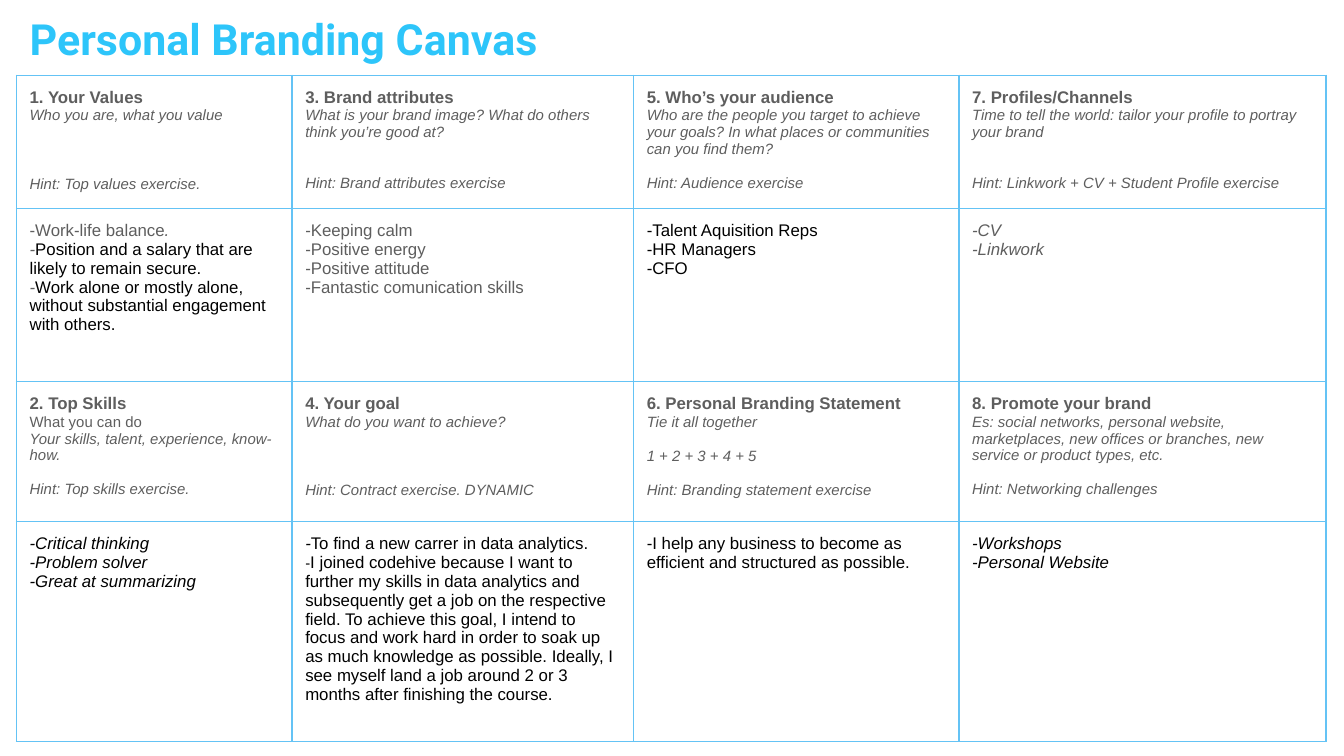
from lxml import etree
from pptx import Presentation
from pptx.dml.color import RGBColor
from pptx.enum.text import MSO_ANCHOR, MSO_AUTO_SIZE, PP_ALIGN
from pptx.oxml.ns import qn
from pptx.util import Cm, Pt

TOP = MSO_ANCHOR.TOP
LEFT = PP_ALIGN.LEFT
NO_FIT = MSO_AUTO_SIZE.NONE
TITLE_ONLY = 5

COLORS = {"title": "2DC5FA", "grey": "5E5E5E", "black": "000000", "border": "64C3F5"}
INSET = Cm(0.25)
BORDER_WIDTH = Pt(0.75)
NOTE_LINE = 9.2
FRAME = {"margin_left": INSET, "margin_right": INSET, "margin_top": INSET,
         "margin_bottom": INSET, "vertical_anchor": TOP}


def style(size, color, bold=False, italic=False, name="Arial"):
    return {"size": Pt(size), "bold": bold, "italic": italic, "name": name}, color


STYLES = {
    "title": style(23, "title", bold=True, name="Roboto"),
    "heading": style(9, "grey", bold=True),
    "note": style(8, "grey", italic=True),
    "upright note": style(8, "grey"),
    "grey": style(9, "grey"),
    "grey italic": style(9, "grey", italic=True),
    "black": style(9, "black"),
    "black italic": style(9, "black", italic=True),
    "small black": style(8, "black"),
}

COLUMN_SHARES = [2.05, 2.54, 2.42, 2.73]
ROW_SHARES = [0.99, 1.29, 1.04, 1.64]


def prompt(heading, *notes):
    paras = [(0, [("heading", heading)])]
    for gap, text in notes:
        paras.append((gap, [("note", text)]))
    return paras


def answers(kind, *lines):
    return [(0, [(kind, line)]) for line in lines]


VALUES = [
    (0, [("grey", "-Work-life balance"), ("grey italic", ".")]),
    (0, [("grey italic", "-"),
         ("black", "Position and a salary that are likely to remain secure.")]),
    (0, [("grey italic", "-"),
         ("black", "Work alone or mostly alone, without substantial engagement with others.")]),
]
SKILLS_PROMPT = [
    (0, [("heading", "2. Top Skills")]),
    (0, [("upright note", "What you can do")]),
    (0, [("note", "Your skills, talent, experience, know-how.")]),
    (1, [("note", "Hint: Top skills exercise.")]),
]
GOAL = [
    (0, [("black italic", "-"), ("black", "To find a new carrer in data analytics.")]),
    (0, [("small black", "-"),
         ("black", "I joined codehive because I want to further my skills in data analytics "
                   "and subsequently get a job on the respective field. To achieve this goal, "
                   "I intend to focus and work hard in order to soak up as much knowledge as "
                   "possible. Ideally, I see myself land a job around 2 or 3 months after "
                   "finishing the course.")]),
]

CANVAS = [
    [
        prompt("1. Your Values", (0, "Who you are, what you value"),
               (3, "Hint: Top values exercise.")),
        prompt("3. Brand attributes",
               (0, "What is your brand image? What do others think you’re good at?"),
               (2, "Hint: Brand attributes exercise")),
        prompt("5. Who’s your audience",
               (0, "Who are the people you target to achieve your goals? "
                   "In what places or communities can you find them?"),
               (1, "Hint: Audience exercise")),
        prompt("7. Profiles/Channels",
               (0, "Time to tell the world: tailor your profile to portray your brand"),
               (2, "Hint: Linkwork + CV + Student Profile exercise")),
    ],
    [
        VALUES,
        answers("grey", "-Keeping calm", "-Positive energy", "-Positive attitude",
                "-Fantastic comunication skills"),
        answers("black", "-Talent Aquisition Reps", "-HR Managers", "-CFO"),
        answers("grey italic", "-CV", "-Linkwork"),
    ],
    [
        SKILLS_PROMPT,
        prompt("4. Your goal", (0, "What do you want to achieve?"),
               (3, "Hint: Contract exercise. DYNAMIC")),
        prompt("6. Personal Branding Statement", (0, "Tie it all together"),
               (1, "1 + 2 + 3 + 4 + 5"), (1, "Hint: Branding statement exercise")),
        prompt("8. Promote your brand",
               (0, "Es: social networks, personal website, marketplaces, "
                   "new offices or branches, new service or product types, etc."),
               (1, "Hint: Networking challenges")),
    ],
    [
        answers("black italic", "-Critical thinking", "-Problem solver",
                "-Great at summarizing"),
        GOAL,
        answers("black", "-I help any business to become as efficient and structured "
                         "as possible."),
        answers("black italic", "-Workshops", "-Personal Website"),
    ],
]


def apply(target, values):
    for name, value in values.items():
        setattr(target, name, value)


def write_paras(frame, paras):
    for index, (gap, spans) in enumerate(paras):
        para = frame.paragraphs[0] if index == 0 else frame.add_paragraph()
        apply(para, {"alignment": LEFT, "space_before": Pt(gap * NOTE_LINE)})
        for kind, text in spans:
            span = para.add_run()
            span.text = text
            values, color = STYLES[kind]
            apply(span.font, values)
            span.font.color.rgb = RGBColor.from_string(COLORS[color])


def add_borders(cell):
    properties = cell._tc.get_or_add_tcPr()
    for side in ("a:lnL", "a:lnR", "a:lnT", "a:lnB"):
        line = etree.SubElement(properties, qn(side), w=str(BORDER_WIDTH))
        fill = etree.SubElement(line, qn("a:solidFill"))
        etree.SubElement(fill, qn("a:srgbClr"), val=COLORS["border"])


def place_title(page, box, text):
    title = page.shapes.title
    apply(title, dict(zip(("left", "top", "width", "height"), box)))
    apply(title.text_frame, {**FRAME, "word_wrap": True, "auto_size": NO_FIT})
    write_paras(title.text_frame, [(0, [("title", text)])])


def place_canvas(page, box, rows):
    left, top, width, height = box
    table = page.shapes.add_table(len(rows), len(COLUMN_SHARES), *box).table
    apply(table, {"first_row": False, "horz_banding": False})
    for column, share in zip(table.columns, COLUMN_SHARES):
        column.width = int(width * share / sum(COLUMN_SHARES))
    for row, share in zip(table.rows, ROW_SHARES):
        row.height = int(height * share / sum(ROW_SHARES))
    for row, contents in zip(table.rows, rows):
        for cell, paras in zip(row.cells, contents):
            apply(cell, FRAME)
            add_borders(cell)
            cell.fill.background()
            write_paras(cell.text_frame, paras)


deck = Presentation()
apply(deck, {"slide_width": Cm(25.4), "slide_height": Cm(14.29)})
page = deck.slides.add_slide(deck.slide_layouts[TITLE_ONLY])
place_title(page, (Cm(0.31), Cm(-0.02), Cm(19.1), Cm(1.37)), "Personal Branding Canvas")
place_canvas(page, (Cm(0.31), Cm(1.42), Cm(24.75), Cm(12.6)), CANVAS)
deck.save("out.pptx")
